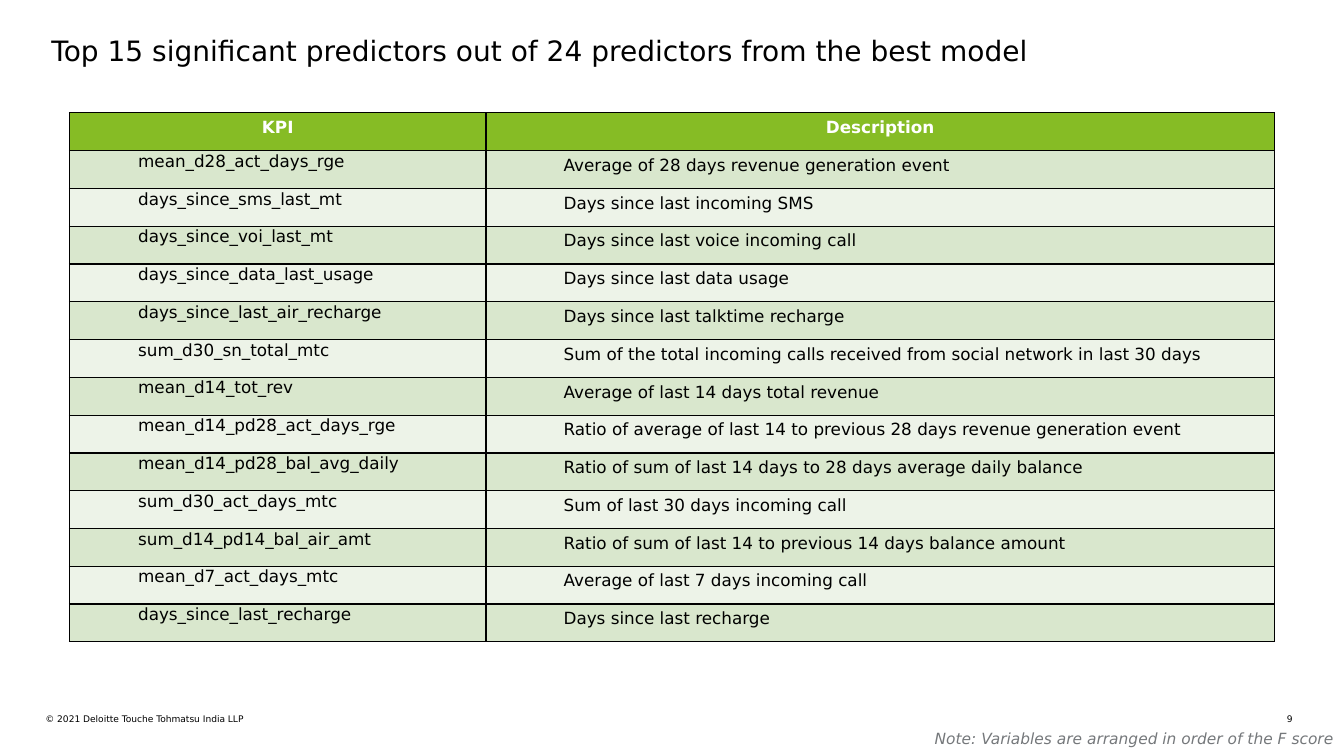
from pptx import Presentation
from pptx.dml.color import RGBColor
from pptx.enum.text import MSO_ANCHOR as Anchor, PP_ALIGN as Align
from pptx.oxml import parse_xml
from pptx.oxml.ns import nsdecls
from pptx.util import Inches, Pt

FONT = "DejaVu Sans"
COLORS = {
    "black": "000000",
    "white": "FFFFFF",
    "header": "86BC25",
    "band_dark": "D9E7CD",
    "band_light": "EDF3E8",
    "note": "75787B",
}
PREDICTORS = [
    ("mean_d28_act_days_rge", "Average of 28 days revenue generation event"),
    ("days_since_sms_last_mt", "Days since last incoming SMS"),
    ("days_since_voi_last_mt", "Days since last voice incoming call"),
    ("days_since_data_last_usage", "Days since last data usage"),
    ("days_since_last_air_recharge", "Days since last talktime recharge"),
    ("sum_d30_sn_total_mtc",
     "Sum of the total incoming calls received from social network in last 30 days"),
    ("mean_d14_tot_rev", "Average of last 14 days total revenue"),
    ("mean_d14_pd28_act_days_rge",
     "Ratio of average of last 14 to previous 28 days revenue generation event"),
    ("mean_d14_pd28_bal_avg_daily",
     "Ratio of sum of last 14 days to 28 days average daily balance"),
    ("sum_d30_act_days_mtc", "Sum of last 30 days incoming call"),
    ("sum_d14_pd14_bal_air_amt",
     "Ratio of sum of last 14 to previous 14 days balance amount"),
    ("mean_d7_act_days_mtc", "Average of last 7 days incoming call"),
    ("days_since_last_recharge", "Days since last recharge"),
]


def write(frame, text, size, color, align=Align.LEFT, bold=False, italic=False):
    paragraph = frame.paragraphs[0]
    paragraph.alignment = align
    run = paragraph.add_run()
    run.text = text
    run.font.name = FONT
    run.font.size = Pt(size)
    run.font.bold = bold
    run.font.italic = italic
    run.font.color.rgb = RGBColor.from_string(COLORS[color])


def clear_margins(frame):
    frame.margin_left = frame.margin_right = 0
    frame.margin_top = frame.margin_bottom = 0


prs = Presentation()
prs.slide_width, prs.slide_height = Inches(13.33), Inches(7.5)
slide = prs.slides.add_slide(prs.slide_layouts[5])

# Title
title = slide.shapes.title
title.left, title.top = Inches(0.51), Inches(0.33)
title.width, title.height = Inches(12.31), Inches(0.76)
clear_margins(title.text_frame)
title.text_frame.vertical_anchor = Anchor.TOP
write(title.text_frame,
      "Top 15 significant predictors out of 24 predictors from the best model",
      20, "black")

# Predictor table
rows = [("KPI", "Description")] + PREDICTORS
predictors = slide.shapes.add_table(
    len(rows), 2, Inches(0.69), Inches(1.12), Inches(11.95), Inches(5.25)).table
predictors.columns[0].width = Inches(4.13)
predictors.columns[1].width = Inches(7.82)

for r, row in enumerate(rows):
    predictors.rows[r].height = Inches(5.25 / len(rows))
    band = "header" if r == 0 else "band_dark" if r % 2 else "band_light"
    for c, text in enumerate(row):
        cell = predictors.cell(r, c)
        # Borders come before the fill in the cell properties
        for side in "LRTB":
            cell._tc.get_or_add_tcPr().append(parse_xml(
                f'<a:ln{side} {nsdecls("a")} w="12700"><a:solidFill>'
                f'<a:srgbClr val="{COLORS["black"]}"/></a:solidFill></a:ln{side}>'))
        cell.fill.solid()
        cell.fill.fore_color.rgb = RGBColor.from_string(COLORS[band])
        cell.vertical_anchor = Anchor.TOP
        if r == 0:
            write(cell.text_frame, text, 12, "white", Align.CENTER, bold=True)
            continue
        if c == 0:
            cell.margin_left = cell.margin_right = cell.margin_top = Inches(0.01)
            cell.margin_bottom = 0
        write(cell.text_frame, text, 12, "black")
        indent = cell.text_frame.paragraphs[0]._p.get_or_add_pPr()
        indent.set("marL", str(Inches(0.67)))
        indent.set("indent", "0")

# Copyright line and page number
for left, width, text, align in [
    (0.45, 4.76, "© 2021 Deloitte Touche Tohmatsu India LLP", Align.LEFT),
    (12.48, 0.34, "9", Align.RIGHT),
]:
    footer = slide.shapes.add_textbox(
        Inches(left), Inches(7.08), Inches(width), Inches(0.11)).text_frame
    footer.word_wrap = True
    clear_margins(footer)
    write(footer, text, 6.5, "black", align)

# Note on the order
note = slide.shapes.add_textbox(
    Inches(2.88), Inches(7.18), Inches(10.45), Inches(0.29)).text_frame
note.word_wrap = True
write(note, "Note: Variables are arranged in order of the F score",
      11, "note", Align.RIGHT, italic=True)

prs.save("out.pptx")
